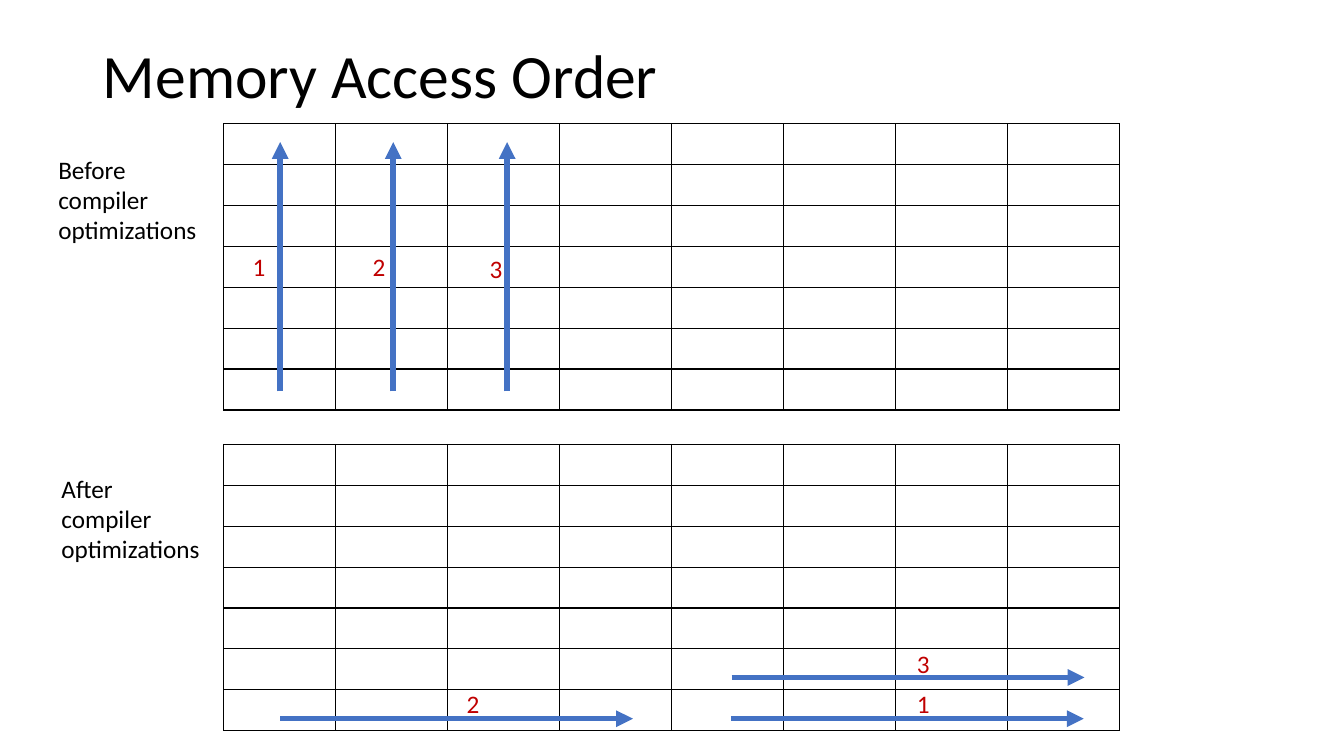
import pptx
import pptx.dml.color
import pptx.enum.shapes
import pptx.enum.text
import pptx.oxml
import pptx.oxml.ns
import pptx.util
from lxml import etree

Cm = pptx.util.Cm
Pt = pptx.util.Pt

HEADING = "Memory Access Order"
BLACK, BLUE, RED = "000000", "4472C4", "C00000"
COLUMNS, ROWS = 8, 7
GRID_LEFT, GRID_WIDTH, GRID_HEIGHT = 5.64, 22.58, 7.21
ACCESS_ORDERS = [
    {
        "caption": "Before compiler optimizations",
        "caption_at": (1.22, 3.76),
        "grid_top": 3.12,
        "step": (0, -6.28),
        "accesses": [
            ("1", (7.06, 9.86), (6.12, 6.22)),
            ("2", (9.91, 9.86), (9.14, 6.22)),
            ("3", (12.78, 9.86), (12.09, 6.25)),
        ],
    },
    {
        "caption": "After compiler optimizations",
        "caption_at": (1.3, 11.79),
        "grid_top": 11.2,
        "step": (8.89, 0),
        "accesses": [
            ("1", (18.42, 18.11), (22.86, 17.22)),
            ("2", (7.06, 18.11), (11.51, 17.22)),
            ("3", (18.44, 17.07), (22.86, 16.21)),
        ],
    },
]


def color(hex_code):
    return pptx.dml.color.RGBColor.from_string(hex_code)


def write(frame, text, size=18, ink=BLACK, spacing=1.0, grow=True):
    frame.word_wrap = True
    frame.vertical_anchor = pptx.enum.text.MSO_ANCHOR.TOP
    sizing = pptx.enum.text.MSO_AUTO_SIZE
    frame.auto_size = sizing.SHAPE_TO_FIT_TEXT if grow else sizing.NONE
    paragraph = frame.paragraphs[0]
    paragraph.alignment = pptx.enum.text.PP_ALIGN.LEFT
    paragraph.line_spacing = spacing
    run = paragraph.add_run()
    run.text = text
    run.font.name = "Calibri"
    run.font.size = Pt(size)
    run.font.color.rgb = color(ink)


def add_note(slide, text, at, extent, **style):
    box = slide.shapes.add_textbox(*map(Cm, at + extent))
    write(box.text_frame, text, **style)


def outline_cell(cell):
    cell.fill.background()
    properties = cell._tc.get_or_add_tcPr()
    namespace = pptx.oxml.ns.nsdecls("a")
    for index, side in enumerate(("lnL", "lnR", "lnT", "lnB")):
        border = pptx.oxml.parse_xml(
            f'<a:{side} {namespace} w="12700"><a:solidFill>'
            f'<a:srgbClr val="{BLACK}"/></a:solidFill></a:{side}>'
        )
        properties.insert(index, border)


def add_memory_grid(slide, top):
    bounds = map(Cm, (GRID_LEFT, top, GRID_WIDTH, GRID_HEIGHT))
    grid = slide.shapes.add_table(ROWS, COLUMNS, *bounds).table
    grid.first_row = False
    grid.horz_banding = False
    for column in grid.columns:
        column.width = Cm(GRID_WIDTH / COLUMNS)
    for row in grid.rows:
        row.height = Cm(GRID_HEIGHT / ROWS)
    for cell in grid.iter_cells():
        outline_cell(cell)


def add_arrow(slide, start, step):
    end = (start[0] + step[0], start[1] + step[1])
    arrow = slide.shapes.add_connector(
        pptx.enum.shapes.MSO_CONNECTOR.STRAIGHT, *map(Cm, start + end)
    )
    arrow.line.color.rgb = color(BLUE)
    arrow.line.width = Pt(4)
    qn = pptx.oxml.ns.qn
    etree.SubElement(arrow.line._get_or_add_ln(), qn("a:tailEnd"), type="triangle")
    etree.SubElement(arrow._element.spPr, qn("a:effectLst"))


def main():
    deck = pptx.Presentation()
    deck.slide_width, deck.slide_height = Cm(33.87), Cm(19.05)
    slide = deck.slides.add_slide(deck.slide_layouts[5])

    title = slide.shapes.title
    title.left, title.top = Cm(2.34), Cm(1.02)
    title.width, title.height = Cm(29.21), Cm(3.68)
    write(title.text_frame, HEADING, size=44, spacing=0.9, grow=False)

    for order in ACCESS_ORDERS:
        add_memory_grid(slide, order["grid_top"])
        add_note(slide, order["caption"], order["caption_at"], (4.04, 2.57))
        for number, start, number_at in order["accesses"]:
            add_arrow(slide, start, order["step"])
            add_note(slide, number, number_at, (0.61, 1.02), ink=RED)

    deck.save("out.pptx")


if __name__ == "__main__":
    main()
